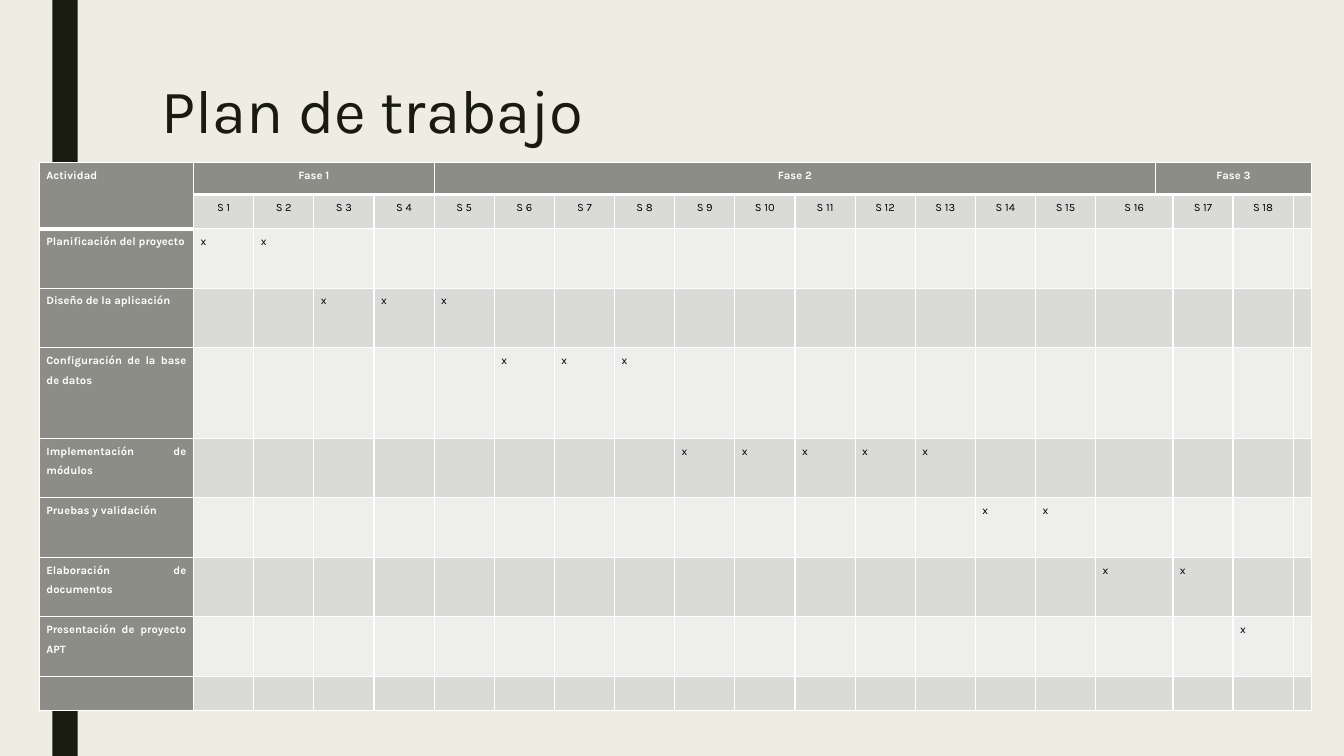
from lxml import etree
from pptx import Presentation
from pptx import util as u
from pptx.dml.color import RGBColor
from pptx.enum import shapes, text
from pptx.oxml.ns import qn

COLORS = {"bg": "EFEDE3", "dark": "191B0E", "head": "8C8D86", "band": "DADBD9",
          "light": "EEEEED", "white": "FFFFFF", "black": "000000"}
FONT = "Karla"
JUSTIFY, CENTER = text.PP_ALIGN.JUSTIFY, text.PP_ALIGN.CENTER

# Phases: name, first column, last column
PHASES = [("Fase 1", 1, 4), ("Fase 2", 5, 16), ("Fase 3", 17, 20)]
# Activities: name, first week, last week
ACTIVITIES = [
    ("Planificación del proyecto", 1, 2),
    ("Diseño de la aplicación", 3, 5),
    ("Configuración de la base de datos", 6, 8),
    ("Implementación de módulos", 9, 13),
    ("Pruebas y validación", 14, 15),
    ("Elaboración de documentos", 16, 17),
    ("Presentación de proyecto APT", 18, 18),
]
WEEKS = 18
NAME_W, NARROW_W, TABLE_W = 1.53, 0.17, 12.61
WEEK_W = (TABLE_W - NAME_W - 2 * NARROW_W) / WEEKS
COL_WIDTHS = [NAME_W] + [WEEK_W] * 16 + [NARROW_W] + [WEEK_W] * 2 + [NARROW_W]
ROW_HEIGHTS = [0.32, 0.34, 0.59, 0.59, 0.9] + [0.59] * 4 + [0.34]


def rgb(name):
    return RGBColor.from_string(COLORS[name])


def week_col(week):
    """Week 16 takes two columns, so later weeks move one to the right."""
    return week if week <= 16 else week + 1


def write(tf, content, size=8, color="black", bold=False, align=JUSTIFY,
          spacing=1.5, after=8):
    p = tf.paragraphs[0]
    p.alignment, p.line_spacing, p.space_after = align, spacing, u.Pt(after)
    r = p.add_run()
    r.text = content
    r.font.name, r.font.size, r.font.bold = FONT, u.Pt(size), bold
    r.font.color.rgb = rgb(color)


class Deck:
    def __init__(self):
        self.prs = Presentation()
        self.prs.slide_width, self.prs.slide_height = u.Inches(13.33), u.Inches(7.5)
        self.s = self.prs.slides.add_slide(self.prs.slide_layouts[6])
        fill = self.s.background.fill
        fill.solid()
        fill.fore_color.rgb = rgb("bg")

    def bar(self, x, y, w, h, color):
        sp = self.s.shapes.add_shape(shapes.MSO_SHAPE.RECTANGLE, *map(u.Inches, (x, y, w, h)))
        sp.shadow.inherit = False
        sp.fill.solid()
        sp.fill.fore_color.rgb = rgb(color)
        sp.line.fill.background()

    def title(self, content, x, y, w, h):
        tf = self.s.shapes.add_textbox(*map(u.Inches, (x, y, w, h))).text_frame
        tf.word_wrap = True
        write(tf, content, size=44, color="dark", align=text.PP_ALIGN.LEFT,
              spacing=0.89, after=0)

    def table(self, x, y, widths, heights):
        frame = self.s.shapes.add_table(
            len(heights), len(widths),
            *map(u.Inches, (x, y, sum(widths), sum(heights))))
        tbl = frame.table
        for col, w in zip(tbl.columns, widths):
            col.width = u.Inches(w)
        for row, h in zip(tbl.rows, heights):
            row.height = u.Inches(h)
        return tbl

    def cell(self, cell, content, fill, top=1, bottom=1, **fmt):
        cell.margin_left = cell.margin_right = u.Inches(0.07)
        cell.margin_top = cell.margin_bottom = 0
        # Borders come before the fill in the cell properties
        tcPr = cell._tc.get_or_add_tcPr()
        for side, width in (("L", 1), ("R", 1), ("T", top), ("B", bottom)):
            ln = etree.SubElement(tcPr, qn("a:ln" + side), w=str(u.Pt(width)))
            solid = etree.SubElement(ln, qn("a:solidFill"))
            etree.SubElement(solid, qn("a:srgbClr"), val=COLORS["white"])
        cell.fill.solid()
        cell.fill.fore_color.rgb = rgb(fill)
        if content:
            write(cell.text_frame, content, **fmt)
        else:
            p = cell.text_frame.paragraphs[0]
            etree.SubElement(p._p, qn("a:endParaRPr"), sz="800")


def main():
    d = Deck()
    d.bar(0.52, 0, 0.25, 7.5, "dark")
    d.title("Plan de trabajo", 1.5, 0.75, 10.5, 1.62)

    # Texts by (row, column)
    texts = {(0, 0): "Actividad"}
    for name, first, last in PHASES:
        texts[0, first] = name
    for week in range(1, WEEKS + 1):
        texts[1, week_col(week)] = f"S {week}"
    for row, (name, first, last) in enumerate(ACTIVITIES, 2):
        texts[row, 0] = name
        for week in range(first, last + 1):
            texts[row, week_col(week)] = "x"

    # Cells
    tbl = d.table(0.39, 1.61, COL_WIDTHS, ROW_HEIGHTS)
    for row in range(len(ROW_HEIGHTS)):
        for col in range(len(COL_WIDTHS)):
            head = row == 0 or col == 0
            fill = "head" if head else "band" if row % 2 else "light"
            header_end = 1 if col == 0 else 0
            d.cell(tbl.cell(row, col), texts.get((row, col)), fill,
                   top=3 if row == header_end + 1 else 1,
                   bottom=3 if row in (0, header_end) else 1,
                   color="white" if head else "black", bold=head,
                   align=CENTER if row < 2 and col > 0 else JUSTIFY)

    # Merged cells
    tbl.cell(0, 0).merge(tbl.cell(1, 0))
    for name, first, last in PHASES:
        tbl.cell(0, first).merge(tbl.cell(0, last))
    for row in range(1, len(ROW_HEIGHTS)):
        tbl.cell(row, 16).merge(tbl.cell(row, 17))

    d.prs.save("out.pptx")


if __name__ == "__main__":
    main()
